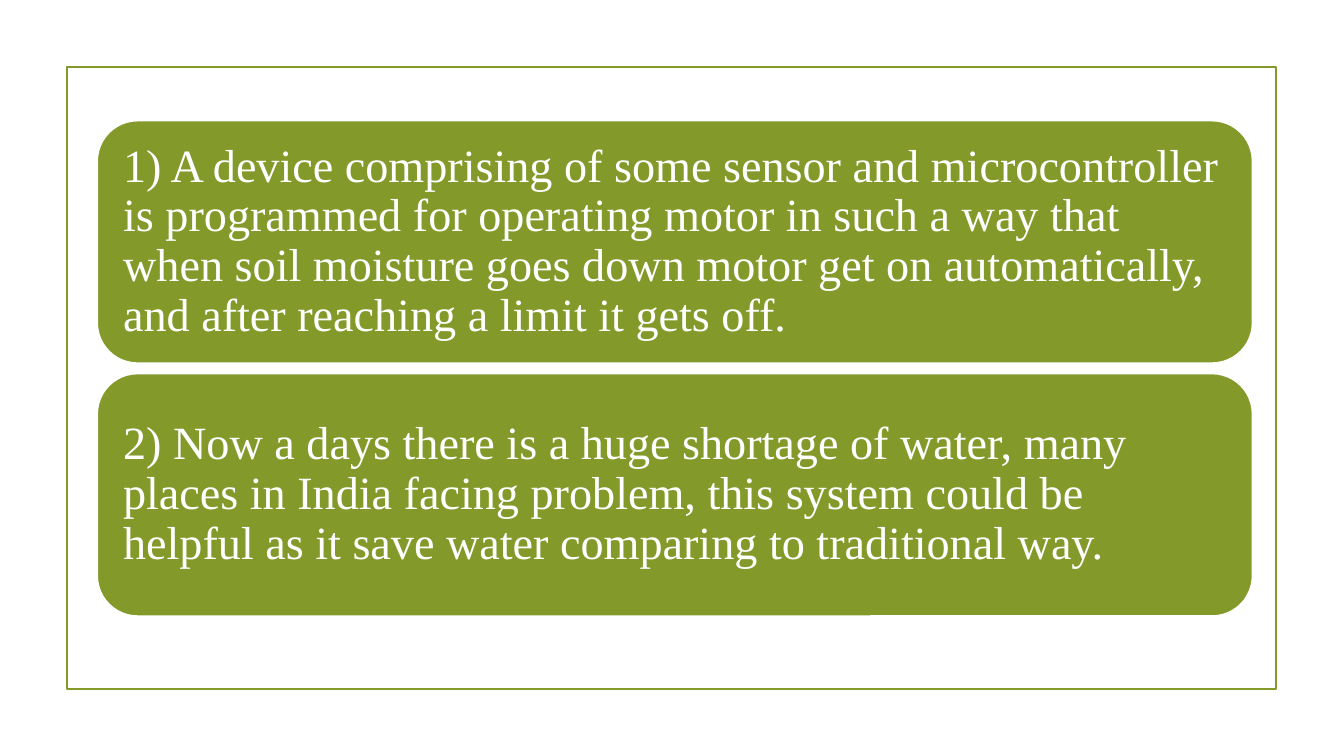
"""Builds a slide with two rounded statement panels inside a thin frame."""
from pptx import Presentation
from pptx import util as u
from pptx.dml.color import RGBColor
from pptx.enum import shapes, text

OLIVE = RGBColor(0x83, 0x99, 0x2A)
WHITE = RGBColor(0xFF, 0xFF, 0xFF)

STATEMENTS = [
    "1) A device comprising of some sensor and microcontroller is programmed "
    "for operating motor in such a way that when soil moisture goes down motor "
    "get on automatically, and after reaching a limit it gets off.",
    "2) Now a days there is a huge shortage of water, many places in India "
    "facing problem, this system could be helpful as it save water comparing "
    "to traditional way.",
]


class SlideBuilder:
    """Holds the style and the current slide; lengths are percent of its size."""

    font_name = "Times New Roman"
    font_size = u.Pt(33)
    line_width = u.Pt(1.25)
    inset = u.Inches(0.14)

    def __init__(self, presentation):
        """Add a blank slide to the presentation."""
        self.column = presentation.slide_width / 100
        self.row = presentation.slide_height / 100
        self.slide = presentation.slides.add_slide(presentation.slide_layouts[6])

    def add_outline(self, kind, left, top, width, height, line_color):
        """Add a preset shape without shadow and return it."""
        shape = self.slide.shapes.add_shape(
            kind,
            round(left * self.column), round(top * self.row),
            round(width * self.column), round(height * self.row))
        shape.shadow.inherit = False
        shape.line.color.rgb = line_color
        shape.line.width = self.line_width
        return shape

    def add_frame(self, left, top, width, height):
        """Add the unfilled border."""
        frame = self.add_outline(
            shapes.MSO_SHAPE.RECTANGLE, left, top, width, height, OLIVE)
        frame.fill.background()

    def add_panel(self, statement, left, top, width, height):
        """Add a filled rounded panel with its statement."""
        panel = self.add_outline(
            shapes.MSO_SHAPE.ROUNDED_RECTANGLE, left, top, width, height, WHITE)
        panel.fill.solid()
        panel.fill.fore_color.rgb = OLIVE
        frame = panel.text_frame
        frame.word_wrap = True
        frame.vertical_anchor = text.MSO_ANCHOR.MIDDLE
        frame.margin_left = frame.margin_right = self.inset
        frame.margin_top = frame.margin_bottom = self.inset
        frame.text = statement
        paragraph = frame.paragraphs[0]
        paragraph.alignment = text.PP_ALIGN.LEFT
        paragraph.line_spacing = 0.9
        font = paragraph.runs[0].font
        font.name = self.font_name
        font.size = self.font_size
        font.color.rgb = WHITE


def main():
    """Build and save the presentation."""
    presentation = Presentation()
    presentation.slide_width = u.Inches(13.33)
    presentation.slide_height = u.Inches(7.5)
    builder = SlideBuilder(presentation)
    builder.add_frame(4.97, 8.9, 90, 82.25)
    first_top, pitch = 15.95, 33.45
    for index, statement in enumerate(STATEMENTS):
        builder.add_panel(statement, 7.23, first_top + index * pitch, 85.97, 32.1)
    presentation.save("out.pptx")


if __name__ == "__main__":
    main()
